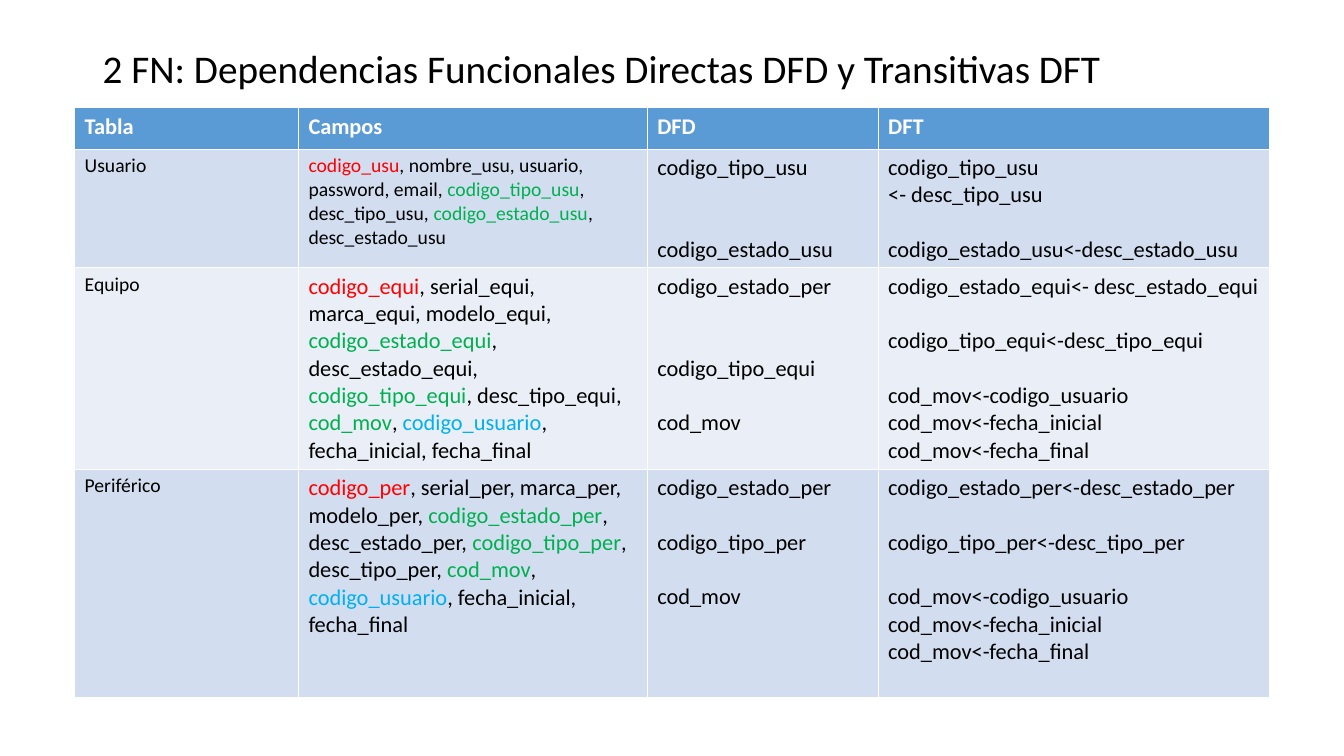
from pptx import Presentation
from pptx.dml.color import RGBColor
from pptx.enum import text
from pptx.util import Inches, Pt

BLACK, WHITE, RED, GREEN, BLUE = "000000", "FFFFFF", "FF0000", "00B050", "00B0F0"
HEADER, BAND, LIGHT_BAND = "5B9BD5", "D2DEEF", "EAEFF7"
LINE_HEIGHT = 19.5

HEADINGS = ["Tabla", "Campos", "DFD", "DFT"]
COLUMN_WIDTHS = [2.22, 3.46, 2.29, 3.88]
ROW_HEIGHTS = [0.41, 1.17, 2, 2.27]
USER_FIELDS = [
    "codigo_usu", ", nombre_usu, usuario, password, email, ",
    "codigo_tipo_usu", ", desc_tipo_usu, ",
    "codigo_estado_usu", ", desc_estado_usu",
]
MOVEMENTS = [
    (1, "cod_mov<-codigo_usuario"),
    (0, "cod_mov<-fecha_inicial"),
    (0, "cod_mov<-fecha_final"),
]


def rgb(value):
    """Turn a hex string into a colour."""
    return RGBColor.from_string(value)


def device_fields(s):
    """List the fields of a device table, keys alternating with plain text."""
    return [
        f"codigo_{s}", f", serial_{s}, marca_{s}, modelo_{s}, ",
        f"codigo_estado_{s}", f", desc_estado_{s}, ",
        f"codigo_tipo_{s}", f", desc_tipo_{s}, ",
        "cod_mov", ", ",
        "codigo_usuario", ", fecha_inicial, fecha_final",
    ]


def add_run(p, content, size, color=BLACK, bold=False):
    """Append a formatted run to a paragraph."""
    r = p.add_run()
    r.text = content
    r.font.name = "Calibri"
    r.font.size = Pt(size)
    r.font.bold = bold
    r.font.color.rgb = rgb(color)


def add_fields(p, fields, size):
    """Write fields with the primary key red and the other keys coloured."""
    for i, field in enumerate(fields):
        if i % 2:
            color = BLACK
        elif i == 0:
            color = RED
        else:
            color = BLUE if field == "codigo_usuario" else GREEN
        add_run(p, field, size, color)


def add_dependencies(tf, lines):
    """Write dependencies, each after its number of skipped lines."""
    for i, (gap, content) in enumerate(lines):
        p = tf.add_paragraph() if i else tf.paragraphs[0]
        p.space_before = Pt(gap * LINE_HEIGHT)
        add_run(p, content, 16)


def add_title(slide, content):
    """Add the slide title."""
    sp = slide.shapes.add_textbox(Inches(0.92), Inches(0.33), Inches(11.5), Inches(0.74))
    tf = sp.text_frame
    tf.word_wrap = True
    tf.vertical_anchor = text.MSO_ANCHOR.MIDDLE
    p = tf.paragraphs[0]
    p.line_spacing = 0.9
    add_run(p, content, 28)


def add_grid(slide):
    """Add the table with its sizes, fills and headings."""
    table = slide.shapes.add_table(
        len(ROW_HEIGHTS), len(COLUMN_WIDTHS), Inches(0.74), Inches(1.07),
        Inches(sum(COLUMN_WIDTHS)), Inches(sum(ROW_HEIGHTS))).table
    for column, width in zip(table.columns, COLUMN_WIDTHS):
        column.width = Inches(width)
    for row, height, fill in zip(table.rows, ROW_HEIGHTS, [HEADER, BAND, LIGHT_BAND, BAND]):
        row.height = Inches(height)
        for cell in row.cells:
            cell.fill.solid()
            cell.fill.fore_color.rgb = rgb(fill)
    for cell, heading in zip(table.rows[0].cells, HEADINGS):
        add_run(cell.text_frame.paragraphs[0], heading, 16, WHITE, True)
    return table


def fill_row(row, name, fields, size, direct, transitive):
    """Fill one body row."""
    frames = [cell.text_frame for cell in row.cells]
    add_run(frames[0].paragraphs[0], name, 14)
    add_fields(frames[1].paragraphs[0], fields, size)
    add_dependencies(frames[2], direct)
    add_dependencies(frames[3], transitive)


def main():
    """Build the slide and save it."""
    prs = Presentation()
    prs.slide_width, prs.slide_height = Inches(13.33), Inches(7.5)
    slide = prs.slides.add_slide(prs.slide_layouts[6])
    add_title(slide, "2 FN: Dependencias Funcionales Directas DFD y Transitivas DFT")
    rows = add_grid(slide).rows
    fill_row(
        rows[1], "Usuario", USER_FIELDS, 14,
        [(0, "codigo_tipo_usu"), (2, "codigo_estado_usu")],
        [(0, "codigo_tipo_usu"), (0, "<- desc_tipo_usu"),
         (1, "codigo_estado_usu<-desc_estado_usu")])
    fill_row(
        rows[2], "Equipo", device_fields("equi"), 16,
        [(0, "codigo_estado_per"), (2, "codigo_tipo_equi"), (1, "cod_mov")],
        [(0, "codigo_estado_equi<- desc_estado_equi"),
         (1, "codigo_tipo_equi<-desc_tipo_equi"), *MOVEMENTS])
    fill_row(
        rows[3], "Periférico", device_fields("per"), 16,
        [(0, "codigo_estado_per"), (1, "codigo_tipo_per"), (1, "cod_mov")],
        [(0, "codigo_estado_per<-desc_estado_per"),
         (1, "codigo_tipo_per<-desc_tipo_per"), *MOVEMENTS])
    prs.save("out.pptx")


if __name__ == "__main__":
    main()
